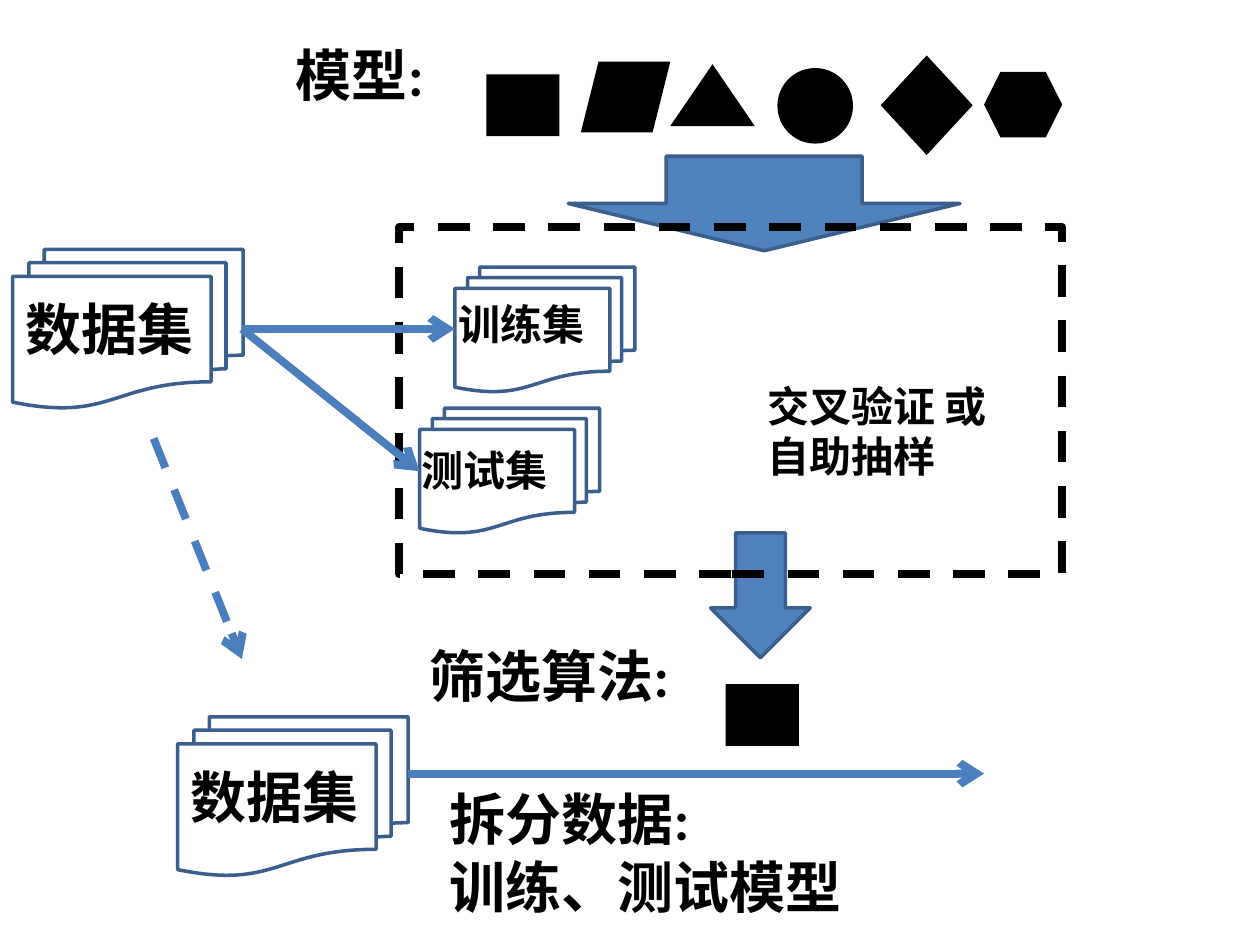
from lxml import etree
from pptx import Presentation
from pptx.dml.color import RGBColor
from pptx.enum import dml, shapes, text
from pptx.oxml import ns
from pptx.util import Inches, Pt

BLUE = RGBColor(0x4F, 0x81, 0xBD)
OUTLINE = RGBColor(0x3A, 0x5F, 0x8C)
ARROW = RGBColor(0x4B, 0x7E, 0xBC)
BLACK = RGBColor(0, 0, 0)
KIND = shapes.MSO_SHAPE


def set_line(line, color, width, dashed=False):
    """Give a line its colour, width and dash."""
    line.color.rgb = color
    values = {"width": Pt(width)}
    if dashed:
        values["dash_style"] = dml.MSO_LINE.DASH
    for name, value in values.items():
        setattr(line, name, value)


def add_figure(slide, kind, box, fill=None, outline=None, width=2, dashed=False):
    """Add a preset shape with an optional fill and outline."""
    shape = slide.shapes.add_shape(kind, *map(Inches, box))
    shape.shadow.inherit = False
    if fill is None:
        shape.fill.background()
    else:
        shape.fill.solid()
        shape.fill.fore_color.rgb = fill
    if outline is None:
        shape.line.fill.background()
    else:
        set_line(shape.line, outline, width, dashed)
    return shape


def add_label(slide, box, lines, size):
    """Add bold black text, one paragraph per line."""
    frame = slide.shapes.add_textbox(*map(Inches, box)).text_frame
    frame.word_wrap = True
    frame.auto_size = text.MSO_AUTO_SIZE.SHAPE_TO_FIT_TEXT
    frame.text = "\n".join(lines)
    font_values = {"name": "Calibri", "size": Pt(size), "bold": True}
    for paragraph in frame.paragraphs:
        for run in paragraph.runs:
            run.font.color.rgb = BLACK
            for name, value in font_values.items():
                setattr(run.font, name, value)


def add_arrow(slide, start, end, dashed=False):
    """Add a thick line with an open arrowhead at its end."""
    connector = slide.shapes.add_connector(
        shapes.MSO_CONNECTOR.STRAIGHT, *map(Inches, start + end))
    set_line(connector.line, ARROW, 4.5, dashed)
    line = connector.line._get_or_add_ln()
    etree.SubElement(line, ns.qn("a:tailEnd"), type="arrow")
    etree.SubElement(connector._element.spPr, ns.qn("a:effectLst"))


def add_dataset(slide, box, name, label_offset, label_size, size):
    """Add a stack of documents with its name over the front page."""
    add_figure(slide, KIND.FLOWCHART_MULTIDOCUMENT, box, outline=OUTLINE)
    left, top = (box[i] + label_offset[i] for i in range(2))
    add_label(slide, (left, top, *label_size), [name], size)


def add_models(slide, left, top):
    """Add the model heading and its row of candidate figures."""
    add_label(slide, (left, top, 1.65, 0.64), ["模型:".replace(":", ":")], 32)
    figures = [
        (KIND.RECTANGLE, 1.61, 0.32, 0.58, 0.49),
        (KIND.PARALLELOGRAM, 2.36, 0.22, 0.71, 0.56),
        (KIND.ISOSCELES_TRIANGLE, 3.07, 0.24, 0.67, 0.49),
        (KIND.OVAL, 3.92, 0.27, 0.6, 0.6),
        (KIND.DIAMOND, 4.74, 0.17, 0.73, 0.79),
        (KIND.HEXAGON, 5.56, 0.3, 0.62, 0.52),
    ]
    for kind, x, y, width, height in figures:
        add_figure(slide, kind, (left + x, top + y, width, height), BLACK)


def add_validation(slide, left, top):
    """Add the dashed validation frame with its arrows, sets and method."""
    for x, y, width, height in ((2.47, 2.43, 0.79, 0.99), (1.34, -0.56, 3.11, 0.75)):
        add_figure(slide, KIND.DOWN_ARROW, (left + x, top + y, width, height), BLUE, OUTLINE)
    for name, x, y, offset in (("训练集", 0.44, 0.32, (-0.07, 0.2)),
                               ("测试集", 0.16, 1.44, (-0.08, 0.24))):
        add_dataset(slide, (left + x, top + y, 1.43, 0.99), name, offset, (2.16, 0.5), 24)
    add_figure(slide, KIND.RECTANGLE, (left, top, 5.26, 2.76),
               outline=BLACK, width=4.5, dashed=True)
    add_label(slide, (left + 2.82, top + 1.17, 2.24, 0.91), ["交叉验证 或 ", "自助抽样"], 24)


def add_selection(slide, left, top):
    """Add the chosen algorithm and the final data split."""
    add_label(slide, (left, top, 3.16, 0.64), ["筛选算法:"], 32)
    add_figure(slide, KIND.RECTANGLE, (left + 2.45, top + 0.39, 0.58, 0.49), BLACK)
    add_label(slide, (left + 0.16, top + 1.14, 5.13, 1.18), ["拆分数据:", "训练、测试模型"], 32)


def build_slide(presentation):
    """Lay out the model selection process on a blank slide."""
    slide = presentation.slides.add_slide(presentation.slide_layouts[6])
    add_validation(slide, 3.17, 1.8)
    for left, top in ((0.1, 1.98), (1.41, 5.69)):
        add_dataset(slide, (left, top, 1.83, 1.26), "数据集", (0, 0.31), (1.65, 0.64), 32)
    add_models(slide, 2.25, 0.27)
    add_selection(slide, 3.31, 5.04)
    for end in ((3.33, 3.74), (3.61, 2.61)):
        add_arrow(slide, (1.92, 2.61), end)
    add_arrow(slide, (3.24, 6.14), (7.81, 6.14))
    add_arrow(slide, (1.22, 3.48), (1.92, 5.23), dashed=True)


presentation = Presentation()
presentation.slide_width = Inches(10)
presentation.slide_height = Inches(7.5)
build_slide(presentation)
presentation.save("out.pptx")
